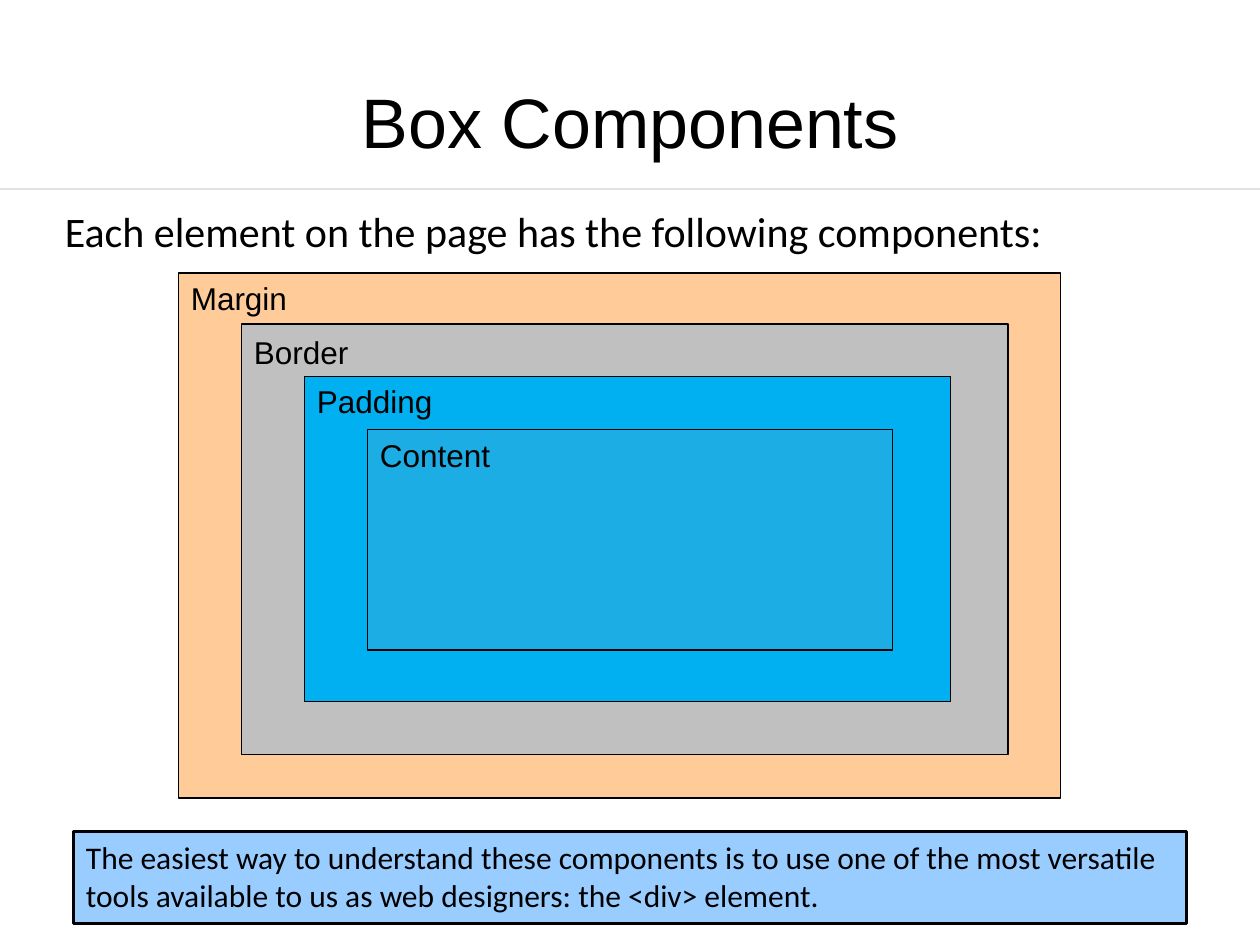
from dataclasses import dataclass

from lxml.etree import SubElement
from pptx import Presentation
from pptx.dml.color import RGBColor
from pptx.enum.shapes import MSO_CONNECTOR as Conn, MSO_SHAPE as Shape
from pptx.enum.text import MSO_ANCHOR as Anchor, MSO_AUTO_SIZE as Fit, PP_ALIGN as Align
from pptx.oxml.ns import qn
from pptx.util import Inches, Pt

COLS, ROWS = 120, 90  # grid of the slide
BLACK = "000000"

deck = Presentation()
deck.slide_width, deck.slide_height = Inches(10), Inches(7.5)
slide = deck.slides.add_slide(deck.slide_layouts[6])


@dataclass
class Area:
    col: float
    row: float
    wide: float
    high: float

    def place(self) -> tuple[int, int, int, int]:
        unit_x, unit_y = deck.slide_width / COLS, deck.slide_height / ROWS
        return (int(self.col * unit_x), int(self.row * unit_y),
                int(self.wide * unit_x), int(self.high * unit_y))


@dataclass
class Layer:
    name: str
    area: Area
    fill: str
    label_row: float
    label_wide: float


def color(code: str) -> RGBColor:
    return RGBColor.from_string(code)


def write(shape, text: str, size: float, font: str, align=Align.LEFT,
          anchor=Anchor.TOP, fit=Fit.SHAPE_TO_FIT_TEXT) -> None:
    frame = shape.text_frame
    frame.text = text
    frame.word_wrap = True
    frame.auto_size = fit
    frame.vertical_anchor = anchor
    para = frame.paragraphs[0]
    para.alignment = align
    for run in para.runs:
        run.font.size = Pt(size)
        run.font.name = font
        run.font.color.rgb = color(BLACK)


def add_text(area: Area, text: str, size: float, font: str, **style) -> None:
    write(slide.shapes.add_textbox(*area.place()), text, size, font, **style)


def add_box(area: Area, fill: str, width: float):
    box = slide.shapes.add_shape(Shape.RECTANGLE, *area.place())
    box.shadow.inherit = False
    box.fill.solid()
    box.fill.fore_color.rgb = color(fill)
    box.line.color.rgb = color(BLACK)
    box.line.width = Pt(width)
    return box


def add_rule(row: float, code: str, width: float) -> None:
    left, top, wide, _ = Area(0, row, COLS, 0).place()
    rule = slide.shapes.add_connector(Conn.STRAIGHT, left, top, left + wide, top)
    rule.line.color.rgb = color(code)
    rule.line.width = Pt(width)
    SubElement(rule._element.spPr, qn("a:effectLst"))


# Heading and lead sentence
add_text(Area(6, 5, 108, 13), "Box Components", 40, "Arial",
         align=Align.CENTER, anchor=Anchor.MIDDLE, fit=Fit.NONE)
add_rule(18, "DFE3E5", 1.25)
add_text(Area(5, 19, 109, 6),
         "Each element on the page has the following components:", 24, "Calibri")

# Nested boxes of the model, from outside in
LAYERS = [
    Layer("Margin", Area(17, 26, 84, 50), "FFCC99", 26, 13),
    Layer("Border", Area(23, 30.85, 73, 41), "C0C0C0", 31.1, 12),
    Layer("Padding", Area(29, 35.85, 61.5, 31), "00B0F0", 35.75, 16),
    Layer("Content", Area(35, 40.9, 50, 21), "1CADE4", 40.9, 13),
]
for layer in LAYERS:
    add_box(layer.area, layer.fill, 0.75)
    add_text(Area(layer.area.col, layer.label_row, layer.label_wide, 4.85),
             layer.name, 18, "Arial")

# Closing note
note = add_box(Area(7, 79.2, 106, 8.75), "99CCFF", 2)
write(note, "The easiest way to understand these components is to use one of the most "
      "versatile tools available to us as web designers: the <div> element.", 18, "Calibri")

deck.save("out.pptx")
